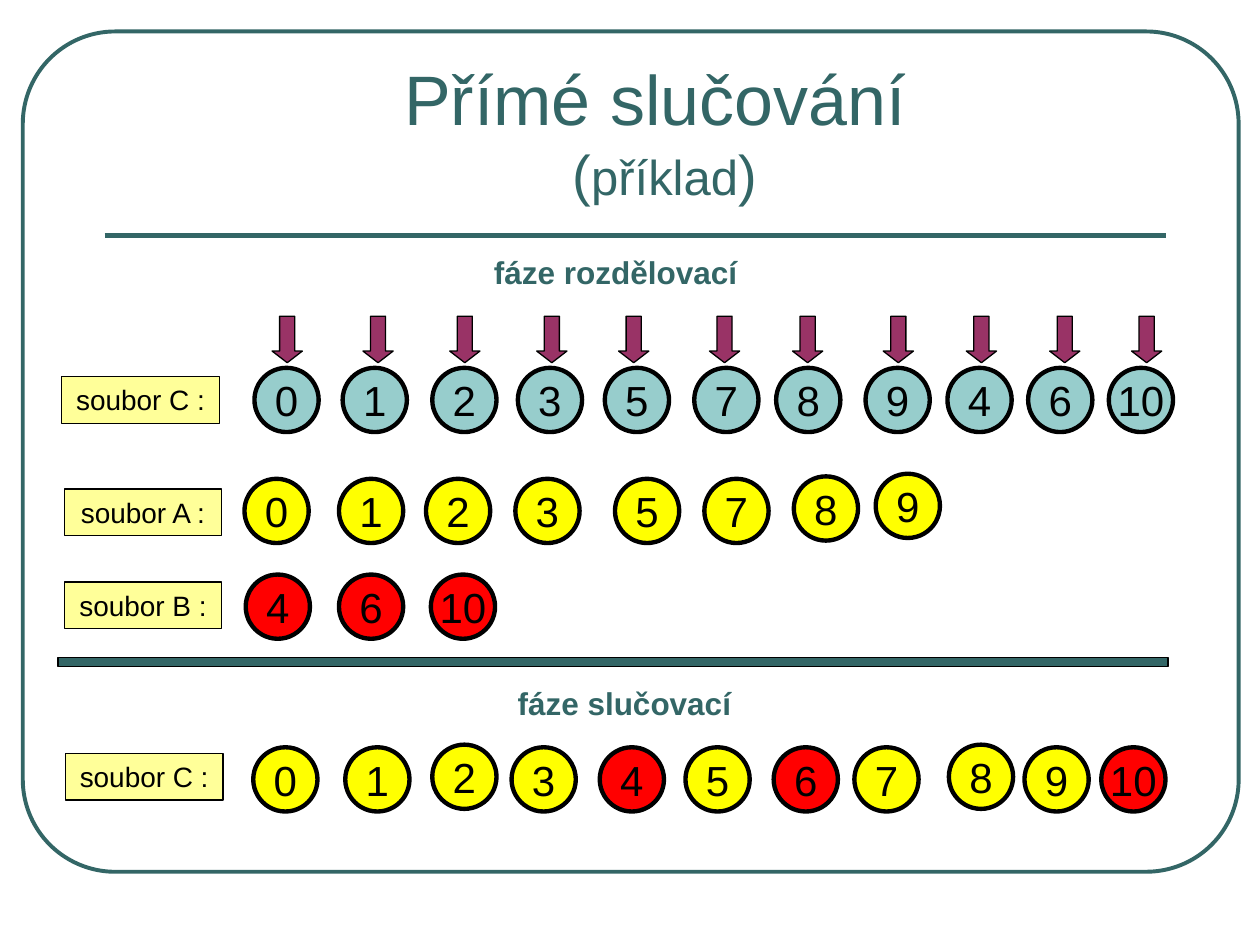
from pptx import Presentation
from pptx.dml.color import RGBColor
from pptx.enum.shapes import MSO_CONNECTOR, MSO_SHAPE as Preset
from pptx.enum.text import MSO_ANCHOR as Anchor, MSO_AUTO_SIZE as AutoSize, PP_ALIGN as Align
from pptx.oxml import parse_xml
from pptx.oxml.ns import nsdecls
from pptx.util import Pt

TEAL = RGBColor(0x33, 0x66, 0x66)
AQUA = RGBColor(0x97, 0xCD, 0xCC)
CREAM = RGBColor(0xFF, 0xFF, 0x99)
YELLOW = RGBColor(0xFF, 0xFF, 0x00)
RED = RGBColor(0xFF, 0x00, 0x00)
PLUM = RGBColor(0x99, 0x33, 0x66)
BLACK = RGBColor(0x00, 0x00, 0x00)

DIAMETER = 36.7

prs = Presentation()
prs.slide_width, prs.slide_height = Pt(720), Pt(540)
slide = prs.slides.add_slide(prs.slide_layouts[5])
shapes = slide.shapes


def write(frame, text, size, color, bold=False):
    """Put one centred, unwrapped line of text into a text frame."""
    frame.word_wrap = False
    paragraph = frame.paragraphs[0]
    paragraph.alignment = Align.CENTER
    run = paragraph.add_run()
    run.text = text
    font_format = {"name": "Arial", "size": Pt(size), "bold": bold}
    for attribute, value in font_format.items():
        setattr(run.font, attribute, value)
    run.font.color.rgb = color


def draw(preset, left, top, width, height, fill=None, line=BLACK, weight=0.75):
    """Add a preset shape without shadow; no fill colour leaves it hollow."""
    shape = shapes.add_shape(preset, Pt(left), Pt(top), Pt(width), Pt(height))
    shape.shadow.inherit = False
    if fill is None:
        shape.fill.background()
    else:
        shape.fill.solid()
        shape.fill.fore_color.rgb = fill
    shape.line.color.rgb = line
    shape.line.width = Pt(weight)
    return shape


# Frame and rule under the title
frame = draw(Preset.ROUNDED_RECTANGLE, 13, 18, 694.8, 480.2, line=TEAL, weight=2.25)
frame.adjustments[0] = 0.11
rule = shapes.add_connector(MSO_CONNECTOR.STRAIGHT, Pt(59.8), Pt(134.6), Pt(666), Pt(134.6))
rule.line.color.rgb = TEAL
rule.line.width = Pt(3)
rule._element.spPr.append(parse_xml(f"<a:effectLst {nsdecls('a')}/>"))

# Title
title = shapes.title
title.left, title.top, title.width, title.height = Pt(92.9), Pt(53.3), Pt(573.8), Pt(68.4)
title_format = {"vertical_anchor": Anchor.BOTTOM, "auto_size": AutoSize.NONE, "word_wrap": True}
for attribute, value in title_format.items():
    setattr(title.text_frame, attribute, value)
heading = title.text_frame.paragraphs[0]
heading.alignment = Align.CENTER
heading.font.name = "Arial"
for text, size in [("Přímé slučování ", 40), ("(", 32), ("příklad", 28), (")", 32)]:
    if text == "(":
        heading.add_line_break()
    run = heading.add_run()
    run.text = text
    run.font.name = "Arial"
    run.font.size = Pt(size)
    run.font.color.rgb = TEAL

# Phase headings and the bar between the phases
for text, left, top, width in [
    ("fáze rozdělovací", 272.2, 141.1, 159.1),
    ("fáze slučovací", 287.3, 387.4, 139),
]:
    phase = shapes.add_textbox(Pt(left), Pt(top), Pt(width), Pt(28.8))
    write(phase.text_frame, text, 18, TEAL, bold=True)
draw(Preset.RECTANGLE, 33.1, 375.8, 634.3, 5, TEAL)

# Arrows pointing at the items of the source file
for left in [155.5, 207.4, 257, 306.7, 353.5, 405.4, 452.9, 504.7, 552.2, 599.8, 646.6]:
    arrow = draw(Preset.DOWN_ARROW, left, 180.7, 17.3, 26.6, PLUM)
    arrow.adjustments[1] = 0.385

# File labels
for text, left, top in [
    ("soubor C :", 35.3, 215.3),
    ("soubor A :", 36.7, 279.4),
    ("soubor B :", 36.7, 332.6),
    ("soubor C :", 37.4, 430.6),
]:
    label = draw(Preset.RECTANGLE, left, top, 90, 26.6, CREAM)
    label.text_frame.vertical_anchor = Anchor.TOP
    write(label.text_frame, text, 16, BLACK)

# Each file: top, colour, {item: left}
source_file = (210.2, AQUA, {
    0: 145.4, 1: 195.8, 2: 247, 3: 295.9, 5: 345.6, 7: 396.7,
    8: 443.5, 9: 494.6, 4: 541.4, 6: 587.5, 10: 633.6})
file_a = (273.6, YELLOW, {0: 139.7, 1: 193.7, 2: 243.4, 3: 294.5, 5: 351.4, 7: 402.5})
file_a_8 = (272.2, YELLOW, {8: 453.6})
file_a_9 = (270.7, YELLOW, {9: 500.4})
file_b = (328.3, RED, {4: 140.4, 6: 193.7, 10: 246.2})
merged_from_a = (427, YELLOW, {0: 144.7, 1: 197.3, 3: 292.3, 5: 391.7, 7: 488.2, 9: 585.4})
merged_from_a_raised = (425.5, YELLOW, {2: 247, 8: 542.2})
merged_from_b = (427, RED, {4: 342.7, 6: 442.1, 10: 629.3})

for top, color, items in [source_file, file_a, file_a_8, file_a_9, file_b,
                          merged_from_a, merged_from_a_raised, merged_from_b]:
    for item, left in items.items():
        circle = draw(Preset.OVAL, left, top, DIAMETER, DIAMETER, color, weight=2.5)
        circle.text_frame.vertical_anchor = Anchor.MIDDLE
        write(circle.text_frame, str(item), 24, BLACK)

prs.save("out.pptx")
